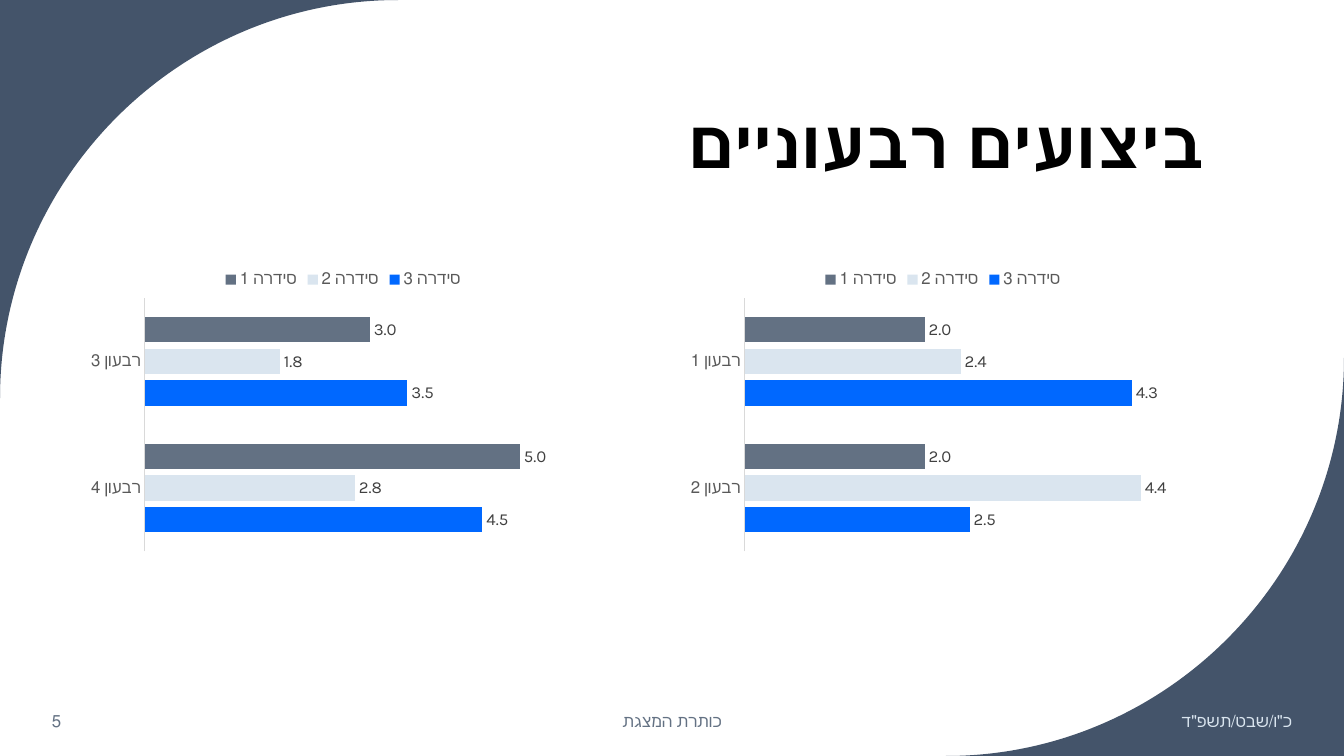
from dataclasses import dataclass

from lxml.etree import SubElement
from pptx import Presentation
from pptx.chart.data import CategoryChartData
from pptx.dml.color import RGBColor
from pptx.enum.chart import XL_CHART_TYPE as Kind
from pptx.enum.chart import XL_LABEL_POSITION as Spot
from pptx.enum.chart import XL_LEGEND_POSITION as Side
from pptx.enum.chart import XL_TICK_MARK as Tick
from pptx.enum.text import MSO_ANCHOR as Anchor
from pptx.enum.text import PP_ALIGN as Align
from pptx.oxml.ns import qn
from pptx.slide import Slide
from pptx.text.text import Font
from pptx.util import Inches, Pt

COLS, ROWS = 32, 18
HIGH = Inches(7.5)
UNIT = HIGH / ROWS
WIDE = round(COLS * UNIT)
FACE = "Karla"

NAVY = RGBColor(0x44, 0x54, 0x6A)
BLUE = RGBColor(0x00, 0x68, 0xFF)
PALE = RGBColor(0xDA, 0xE5, 0xEF)
SLATE = RGBColor(0x63, 0x71, 0x83)
BLACK = RGBColor(0x00, 0x00, 0x00)
DARK = RGBColor(0x40, 0x40, 0x40)
GREY = RGBColor(0x59, 0x59, 0x59)
RULE = RGBColor(0xD9, 0xD9, 0xD9)


@dataclass
class Box:
    """A place on the grid, in columns and rows."""
    left: float
    top: float
    wide: float
    high: float

    def emu(self) -> list[int]:
        return [round(n * UNIT) for n in (self.left, self.top, self.wide, self.high)]


@dataclass
class Label:
    text: str
    box: Box
    color: RGBColor
    align: Align
    size: int = 12
    bold: bool = False
    anchor: Anchor = Anchor.MIDDLE
    space: float = 1.0


@dataclass
class Series:
    name: str
    color: RGBColor
    form: str = "General"


@dataclass
class Plot:
    left: float
    cats: list[str]
    vals: list[list[float]]
    top: int


RADIUS = 9.48
BEND = 0.45 * RADIUS
FOOT, TALL = 16.68, 0.96
LABELS = [
    Label("ביצועים רבעוניים", Box(3.26, 1, 25.66, 3.48), BLACK, Align.RIGHT,
          48, True, Anchor.BOTTOM, 0.9),
    Label('כ"ו/שבט/תשפ"ד', Box(26.54, FOOT, 4.46, TALL), PALE, Align.RIGHT),
    Label("כותרת המצגת", Box(10.6, FOOT, 10.8, TALL), SLATE, Align.CENTER),
    Label("5", Box(1, FOOT, 4.34, TALL), SLATE, Align.LEFT),
]
SERIES = [
    Series("סידרה 3", BLUE),
    Series("סידרה 2", PALE),
    Series("סידרה 1", SLATE, "#,##0.0"),
]
PLOTS = [
    Plot(16.2, ["רבעון 2", "רבעון 1"], [[2.5, 4.3], [4.4, 2.4], [2, 2]], 5),
    Plot(1.92, ["רבעון 4", "רבעון 3"], [[4.5, 3.5], [2.8, 1.8], [5, 3]], 6),
]


def style(font: Font, size: int, color: RGBColor, bold: bool = False) -> None:
    font.size, font.bold, font.name = Pt(size), bold, FACE
    font.color.rgb = color


def corner(slide: Slide, x: float, y: float, sign: int) -> None:
    """Fill the area between the slide corner (x, y) and a quarter circle."""
    steps = [(RADIUS, 0), (BEND, 0), (0, BEND), (0, RADIUS)]
    spots = [(round((x + sign * a) * UNIT), round((y + sign * b) * UNIT))
             for a, b in steps]
    form = slide.shapes.build_freeform(round(x * UNIT), round(y * UNIT))
    form.add_line_segments(spots)
    shape = form.convert_to_shape()
    lines = list(shape._element.iter(qn("a:lnTo")))[1:4]
    curve = SubElement(lines[0].getparent(), qn("a:cubicBezTo"))
    lines[0].addprevious(curve)
    for line in lines:
        curve.append(line[0])
        line.getparent().remove(line)
    shape.shadow.inherit = False
    shape.fill.solid()
    shape.fill.fore_color.rgb = NAVY
    shape.line.fill.background()


def write(slide: Slide, label: Label) -> None:
    frame = slide.shapes.add_textbox(*label.box.emu()).text_frame
    frame.word_wrap = True
    frame.vertical_anchor = label.anchor
    para = frame.paragraphs[0]
    para.text = label.text
    para.alignment = label.align
    para.line_spacing = label.space
    para._p.get_or_add_pPr().set("rtl", "1")
    style(para.runs[0].font, label.size, label.color, label.bold)


def draw(slide: Slide, plot: Plot) -> None:
    data = CategoryChartData()
    data.categories = plot.cats
    for item, vals in zip(SERIES, plot.vals):
        data.add_series(item.name, vals, item.form)
    place = Box(plot.left, 6.19, 12.5, 7.08).emu()
    chart = slide.shapes.add_chart(Kind.BAR_CLUSTERED, *place, data).chart
    style(chart.font, 10, BLACK)
    chart.has_title = False
    chart.has_legend = True
    chart.legend.position = Side.TOP
    chart.legend.include_in_layout = False
    style(chart.legend.font, 12, GREY)

    axis = chart.category_axis
    axis.major_tick_mark = axis.minor_tick_mark = Tick.NONE
    axis.format.line.color.rgb = RULE
    axis.format.line.width = Pt(0.75)
    style(axis.tick_labels.font, 12, GREY)
    scale = chart.value_axis
    scale.visible = scale.has_major_gridlines = False
    scale.minimum_scale, scale.maximum_scale = 0, plot.top

    bars = chart.plots[0]
    bars.gap_width, bars.overlap = 150, -25
    bars.vary_by_categories = False
    for item, row in zip(SERIES, bars.series):
        row.format.fill.solid()
        row.format.fill.fore_color.rgb = item.color
        tags = row.data_labels
        tags.show_value = True
        tags.position = Spot.OUTSIDE_END
        tags.number_format = item.form
        tags.number_format_is_linked = False
        style(tags.font, 12, DARK)


def main() -> None:
    deck = Presentation()
    deck.slide_width, deck.slide_height = WIDE, HIGH
    slide = deck.slides.add_slide(deck.slide_layouts[6])
    corner(slide, 0, 0, 1)
    corner(slide, COLS, ROWS, -1)
    for plot in PLOTS:
        draw(slide, plot)
    for label in LABELS:
        write(slide, label)
    deck.save("out.pptx")


if __name__ == "__main__":
    main()
